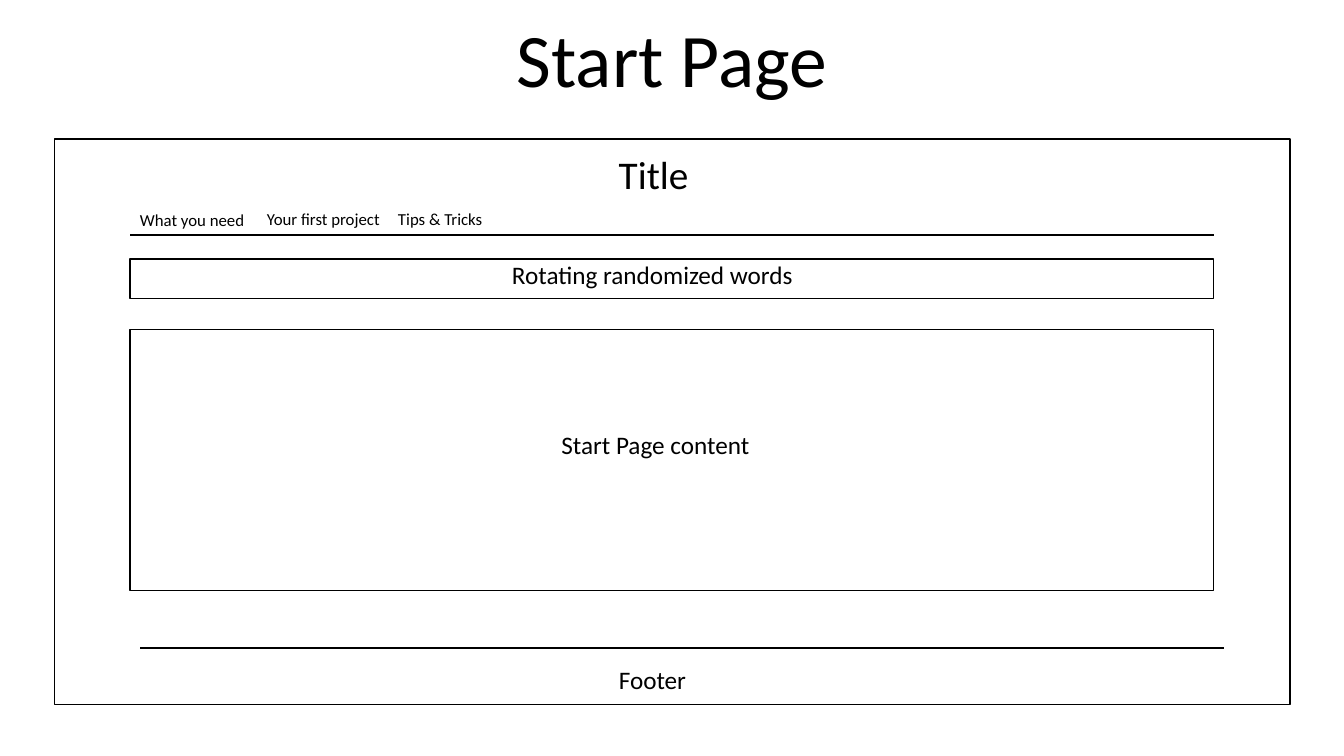
import pptx
import pptx.util
import pptx.dml.color
import pptx.enum.shapes
import pptx.enum.text
from lxml import etree

Pt = pptx.util.Pt
COLORS = {"ink": "000000", "paper": "FFFFFF"}
FONT = "Calibri"


def rgb(name):
    """Return a named colour."""
    return pptx.dml.color.RGBColor.from_string(COLORS[name])


def style_text(p, size):
    """Format the runs of a paragraph."""
    for r in p.runs:
        r.font.name = FONT
        r.font.size = Pt(size)
        r.font.color.rgb = rgb("ink")


def add_title(s, text, x, y, w, h):
    """Place the slide title in its box."""
    sp = s.shapes.title
    sp.left, sp.top, sp.width, sp.height = Pt(x), Pt(y), Pt(w), Pt(h)
    tf = sp.text_frame
    tf.text = text
    tf.auto_size = pptx.enum.text.MSO_AUTO_SIZE.NONE
    tf.vertical_anchor = pptx.enum.text.MSO_ANCHOR.BOTTOM
    p = tf.paragraphs[0]
    p.alignment = pptx.enum.text.PP_ALIGN.CENTER
    p.line_spacing = 0.9
    style_text(p, 54)


def add_panel(s, x, y, w, h, filled=True):
    """Draw an outlined rectangle."""
    sp = s.shapes.add_shape(
        pptx.enum.shapes.MSO_SHAPE.RECTANGLE, Pt(x), Pt(y), Pt(w), Pt(h))
    sp.shadow.inherit = False
    if filled:
        sp.fill.solid()
        sp.fill.fore_color.rgb = rgb("paper")
    else:
        sp.fill.background()
    sp.line.color.rgb = rgb("ink")
    sp.line.width = Pt(1)


def add_rule(s, x, y, w):
    """Draw a horizontal line."""
    line = s.shapes.add_connector(
        pptx.enum.shapes.MSO_CONNECTOR.STRAIGHT, Pt(x), Pt(y), Pt(x + w), Pt(y))
    line.line.color.rgb = rgb("ink")
    line.line.width = Pt(1.5)
    etree.SubElement(line._element.spPr, pptx.oxml.ns.qn("a:effectLst"))


def add_label(s, text, x, y, w, h, size=18):
    """Place a left-aligned label."""
    tf = s.shapes.add_textbox(Pt(x), Pt(y), Pt(w), Pt(h)).text_frame
    tf.word_wrap = True
    tf.auto_size = pptx.enum.text.MSO_AUTO_SIZE.SHAPE_TO_FIT_TEXT
    tf.text = text
    style_text(tf.paragraphs[0], size)


def add_header(s, x, y, w):
    """Draw the page title, the menu and the rule below them."""
    add_rule(s, x, y + 64.1, w)
    add_label(s, "Title", x + 342, y, 90.7, 41.2, 28)
    menu = [("What you need", 0, 42.5, 90.7),
            ("Your first project", 90.7, 41.8, 97.9),
            ("Tips & Tricks", 184.3, 41.8, 116.6)]
    for text, dx, dy, width in menu:
        add_label(s, text, x + dx, y + dy, width, 21.8, 12)


def add_banner(s, x, y, w, h):
    """Draw the box of rotating words."""
    add_panel(s, x, y, w, h)
    add_label(s, "Rotating randomized words", x + 265.7, y - 3.6, 380.9, 29.1)


def add_content(s, x, y, w, h):
    """Draw the main content box."""
    add_panel(s, x, y, w, h, filled=False)
    add_label(s, "Start Page content", x + 301, y + 67.7, 262.8, 29.1)


def add_footer(s, x, y, w):
    """Draw the footer rule and its label."""
    add_rule(s, x + 7.2, y, w)
    add_label(s, "Footer", x + 342, y + 8, 114.5, 29.1)


def add_wireframe(s, x, y, w, h):
    """Draw the page frame with its regions."""
    add_panel(s, x, y, w, h)
    left, width = x + 54, w - 108.7
    add_header(s, left, y + 4.3, width)
    add_banner(s, left, y + 85.7, width, 28.1)
    add_content(s, left, y + 136.1, width, 186.5)
    add_footer(s, left, y + 363.6, width)


def main():
    """Build and save the slide."""
    prs = pptx.Presentation()
    prs.slide_width, prs.slide_height = Pt(960), Pt(540)
    s = prs.slides.add_slide(prs.slide_layouts[5])
    add_title(s, "Start Page", 120, 12.2, 720, 65.5)
    add_wireframe(s, 38.9, 99.4, 882.7, 403.9)
    prs.save("out.pptx")


if __name__ == "__main__":
    main()
